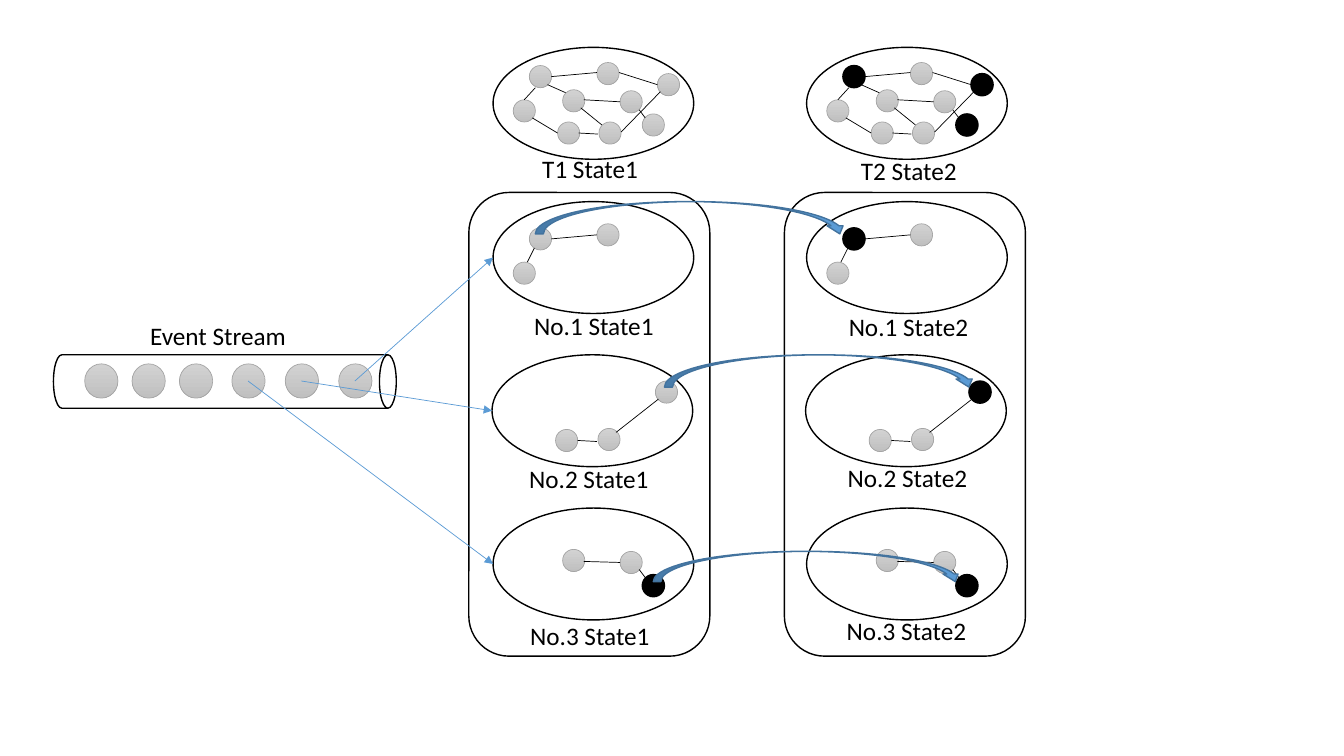
from lxml.etree import SubElement
from pptx import Presentation
from pptx.dml.color import RGBColor
from pptx.enum.shapes import MSO_CONNECTOR, MSO_SHAPE
from pptx.enum.text import MSO_AUTO_SIZE
from pptx.oxml.ns import qn
from pptx.util import Inches, Pt

COLORS = {"paper": "FFFFFF", "ink": "000000", "node_top": "D2D2D2", "node_bottom": "C0C0C0",
          "node_line": "A5A5A5", "flow": "5B9BD5", "flow_line": "43739E"}
CLUSTER_W, CLUSTER_H, NODE = 1.99, 1.11, 0.22
STATE_LEFTS = (4.89, 8.0)

# Node: left, top. Edge: from x, y, to x, y. Both are relative to the cluster.
CLUSTERS = [
    {"names": ("T1 State1", "T2 State2"), "top": 0.47, "shift": 0,
     "nodes": [(0.36, 0.18), (0.2, 0.52), (1.26, 0.43), (0.69, 0.42), (1.03, 0.15),
               (0.64, 0.74), (1.05, 0.74), (1.63, 0.26), (1.48, 0.66)],
     "edges": [(0.58, 0.29, 1.03, 0.25), (0.42, 0.4, 0.31, 0.52), (0.85, 0.85, 1.04, 0.86),
               (1.27, 0.84, 1.66, 0.44), (0.9, 0.52, 1.26, 0.54), (1.45, 0.62, 1.51, 0.7),
               (0.54, 0.37, 0.72, 0.45), (0.87, 0.6, 1.08, 0.77), (1.25, 0.25, 1.63, 0.37),
               (0.39, 0.7, 0.64, 0.85)],
     "changed": ((), (0, 7, 8)), "labels": ((0.39, 1.0), (0.44, 1.02))},
    {"names": ("No.1 State1", "No.1 State2"), "top": 2.0, "shift": 0,
     "nodes": [(0.36, 0.26), (0.2, 0.6), (1.03, 0.22)],
     "edges": [(0.58, 0.37, 1.03, 0.33), (0.41, 0.46, 0.34, 0.6)],
     "changed": ((), (0,)), "labels": ((0.31, 1.03), (0.32, 1.04))},
    {"names": ("No.2 State1", "No.2 State2"), "top": 3.52, "shift": -0.01,
     "nodes": [(0.63, 0.74), (1.05, 0.73), (1.62, 0.26)],
     "edges": [(0.85, 0.85, 1.04, 0.86), (1.23, 0.77, 1.65, 0.44)],
     "changed": ((), (2,)), "labels": ((0.27, 1.03), (0.32, 1.02))},
    {"names": ("No.3 State1", "No.3 State2"), "top": 5.04, "shift": 0,
     "nodes": [(1.26, 0.43), (0.69, 0.41), (1.48, 0.66)],
     "edges": [(0.9, 0.53, 1.26, 0.54), (1.45, 0.61, 1.51, 0.69)],
     "changed": ((2,), (2,)), "labels": ((0.27, 1.07), (0.3, 1.02))},
]


def rgb(color):
    """Return the named colour."""
    return RGBColor.from_string(COLORS[color])


def add_outline(slide, preset, box, fill="paper", line="ink", weight=1):
    """Add a filled preset shape in the given box."""
    outline = slide.shapes.add_shape(preset, *map(Inches, box))
    outline.shadow.inherit = False
    outline.fill.solid()
    outline.fill.fore_color.rgb = rgb(fill)
    outline.line.color.rgb = rgb(line)
    outline.line.width = Pt(weight)
    return outline


def add_node(slide, box, changed=False):
    """Add a round node, black when its state has changed."""
    if changed:
        add_outline(slide, MSO_SHAPE.FLOWCHART_CONNECTOR, box, "ink")
        return
    node = add_outline(slide, MSO_SHAPE.FLOWCHART_CONNECTOR, box, line="node_line", weight=0.5)
    node.fill.gradient()
    node.fill.gradient_angle = 270
    for stop, color in zip(node.fill.gradient_stops, ("node_top", "node_bottom")):
        stop.color.rgb = rgb(color)


def add_link(slide, ends, color="ink", arrow=False):
    """Add a thin straight line, with an arrowhead on request."""
    link = slide.shapes.add_connector(MSO_CONNECTOR.STRAIGHT, *map(Inches, ends))
    link.line.color.rgb = rgb(color)
    link.line.width = Pt(0.5)
    if arrow:
        SubElement(link.line._get_or_add_ln(), qn("a:tailEnd"), type="triangle")
    SubElement(link._element.spPr, qn("a:effectLst"))


def add_label(slide, left, top, wording, width=1.57):
    """Add a one-line caption."""
    frame = slide.shapes.add_textbox(*map(Inches, (left, top, width, 0.4))).text_frame
    frame.word_wrap = True
    frame.auto_size = MSO_AUTO_SIZE.SHAPE_TO_FIT_TEXT
    caption = frame.paragraphs[0]
    caption.text = wording
    caption.font.name = "Calibri"
    caption.font.size = Pt(18)
    caption.font.color.rgb = rgb("ink")


def add_cluster(slide, left, cluster, state):
    """Draw one graph in its ellipse with the caption below."""
    left, top = left + cluster["shift"], cluster["top"]
    add_outline(slide, MSO_SHAPE.OVAL, (left, top, CLUSTER_W, CLUSTER_H))
    for index, (x, y) in enumerate(cluster["nodes"]):
        add_node(slide, (left + x, top + y, NODE, NODE), index in cluster["changed"][state])
    for x1, y1, x2, y2 in cluster["edges"]:
        add_link(slide, (left + x1, top + y1, left + x2, top + y2))
    x, y = cluster["labels"][state]
    add_label(slide, left + x, top + y, cluster["names"][state])


def add_stream(slide, left, top, length, height):
    """Draw the event stream as a lying cylinder holding six events."""
    upright = (left + (length - height) / 2, top - (length - height) / 2, height, length)
    cylinder = add_outline(slide, MSO_SHAPE.CAN, upright)
    cylinder.rotation = 90
    cylinder.adjustments[0] = 0.315
    for x in (0.31, 0.78, 1.25, 1.77, 2.3, 2.83):
        add_node(slide, (left + x, top + 0.09, 0.33, 0.34))
    add_label(slide, left + 0.86, top - 0.39, "Event Stream", 1.75)


def add_flows(slide):
    """Draw the state transitions and the event dispatch arrows."""
    for box in ((5.31, 2, 3.1, 0.32), (6.59, 3.52, 3.1, 0.32), (6.48, 5.47, 3.07, 0.3)):
        add_outline(slide, MSO_SHAPE.CURVED_DOWN_ARROW, box, "flow", "flow_line")
    for event_x, cluster in zip((3.52, 2.99, 2.46), CLUSTERS[1:]):
        target = (STATE_LEFTS[0] + cluster["shift"], cluster["top"] + CLUSTER_H / 2)
        add_link(slide, (event_x, 3.78, *target), "flow", arrow=True)


def build_slide(deck):
    """Compose the event stream and the two state columns."""
    slide = deck.slides.add_slide(deck.slide_layouts[6])
    for panel_left in (4.65, 7.78):
        add_outline(slide, MSO_SHAPE.ROUNDED_RECTANGLE, (panel_left, 1.91, 2.39, 4.6))
    add_stream(slide, 0.53, 3.52, 3.4, 0.53)
    for state, left in enumerate(STATE_LEFTS):
        for cluster in CLUSTERS:
            add_cluster(slide, left, cluster, state)
    add_flows(slide)


deck = Presentation()
deck.slide_width, deck.slide_height = Inches(13.33), Inches(7.5)
build_slide(deck)
deck.save("out.pptx")
